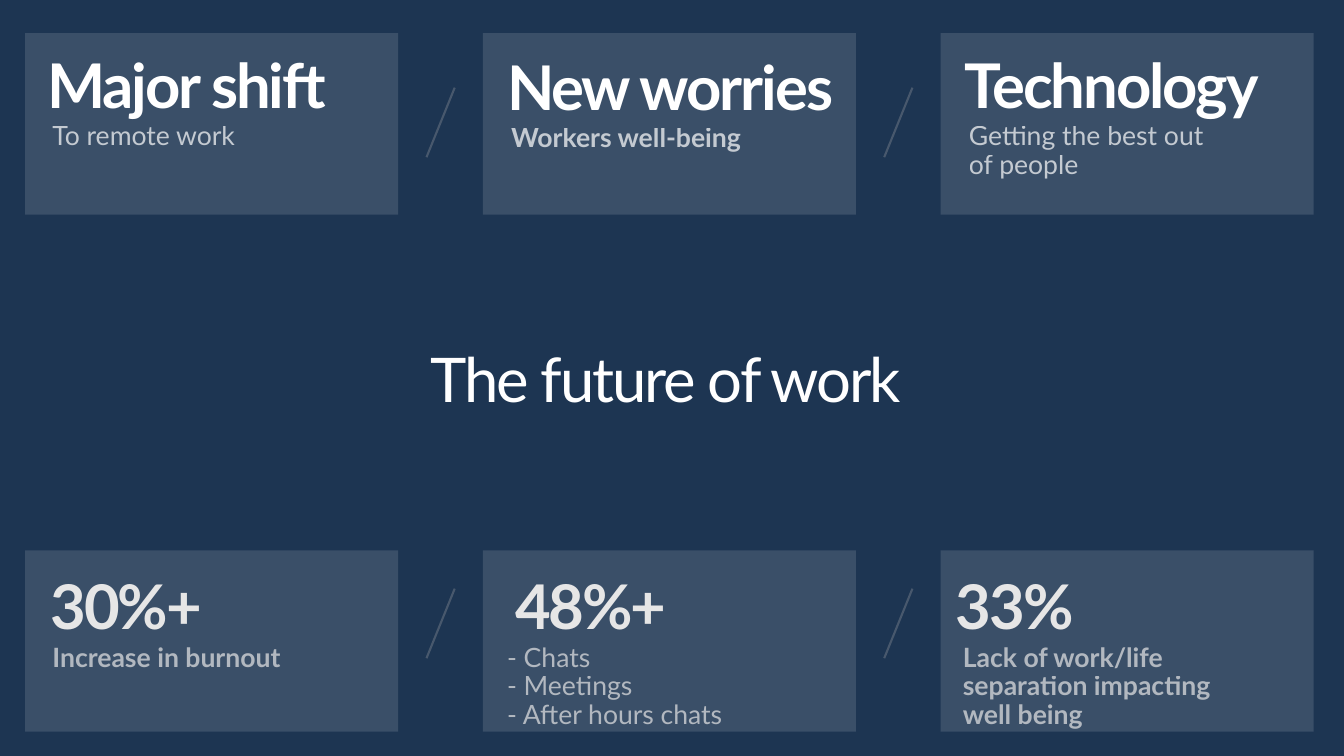
from dataclasses import dataclass

from lxml.etree import SubElement
from pptx import Presentation
from pptx.dml.color import RGBColor
from pptx.enum.shapes import MSO_CONNECTOR as Connector, MSO_SHAPE as Preset
from pptx.enum.text import MSO_ANCHOR as Anchor, MSO_AUTO_SIZE as AutoSize, PP_ALIGN as Align
from pptx.oxml.ns import qn
from pptx.util import Inches, Pt

NAVY = RGBColor(0x1D, 0x35, 0x52)
WHITE = RGBColor(0xFF, 0xFF, 0xFF)
PALE = RGBColor(0xE6, 0xE6, 0xE6)
GREY = RGBColor(0xAC, 0xAC, 0xAC)

COLUMN_START, COLUMN_STEP = 0.25, 4.54
ROW_TOPS = (0.33, 5.46)
ROW_COLORS = (WHITE, PALE)
SLASH_DROPS = (0.54, 0.38)
CARD_WIDTH, CARD_HEIGHT = 3.7, 1.8
HEADING_HEIGHT = 0.67
CAPTION_DROP, CAPTION_INSET, CAPTION_LINE = 0.5, 0.18, 0.29


@dataclass(frozen=True)
class Card:
    column: int
    row: int
    heading: str
    heading_offset: tuple[float, float]
    heading_width: float
    caption: str
    caption_indent: float
    caption_width: float
    caption_lines: int = 1
    bold: bool = False

    @property
    def left(self) -> float:
        return COLUMN_START + self.column * COLUMN_STEP

    @property
    def top(self) -> float:
        return ROW_TOPS[self.row]


CARDS = (
    Card(0, 0, "Major shift", (0.22, 0.21), 3.28, "To remote work", 0.27, 2.3),
    Card(1, 0, "New worries", (0.24, 0.23), 3.4, "Workers well-being", 0.28, 2.94, bold=True),
    Card(2, 0, "Technology", (0.24, 0.21), 3.15, "Getting the best out of people", 0.28, 2.52, 2),
    Card(0, 1, "30%+", (0.25, 0.25), 4.08, "Increase in burnout", 0.27, 2.92, bold=True),
    Card(1, 1, "48%+", (0.32, 0.25), 2.45, "- Chats\n- Meetings\n- After hours chats", 0.24, 3.13, 3),
    Card(2, 1, "33%", (0.15, 0.25), 3.11, "Lack of work/life separation impacting well being",
         0.22, 2.94, 3, bold=True),
)


def set_opacity(fill_parent, percent: int) -> None:
    color = next(fill_parent.iter(qn("a:srgbClr")))
    SubElement(color, qn("a:alpha")).set("val", str(percent * 1000))


def place(shape, left: float, top: float, width: float, height: float) -> None:
    shape.left, shape.top = Inches(left), Inches(top)
    shape.width, shape.height = Inches(width), Inches(height)


def write(shape, text: str, size: int, color: RGBColor, bold: bool,
          spacing: float = 0, opacity: int = 100, inset_top: float = 0,
          anchor: Anchor = Anchor.TOP) -> None:
    frame = shape.text_frame
    frame.text = text
    frame.word_wrap = True
    frame.auto_size = AutoSize.SHAPE_TO_FIT_TEXT
    frame.vertical_anchor = anchor
    frame.margin_left = frame.margin_right = frame.margin_bottom = 0
    frame.margin_top = Inches(inset_top)
    for paragraph in frame.paragraphs:
        paragraph.alignment = Align.LEFT
        paragraph.line_spacing = 0.9
        for run in paragraph.runs:
            run.font.name = "Lato"
            run.font.size = Pt(size)
            run.font.bold = bold
            run.font.color.rgb = color
            properties = run._r.get_or_add_rPr()
            if spacing:
                properties.set("spc", str(int(spacing * 100)))
            if opacity < 100:
                set_opacity(properties, opacity)


def write_heading(shape, text: str, color: RGBColor, bold: bool) -> None:
    write(shape, text, 44, color, bold, spacing=-1.5, anchor=Anchor.BOTTOM)


def add_text_box(slide, left: float, top: float, width: float, height: float):
    return slide.shapes.add_textbox(Inches(left), Inches(top), Inches(width), Inches(height))


def add_card(slide, card: Card) -> None:
    panel = slide.shapes.add_shape(Preset.RECTANGLE, 0, 0, 0, 0)
    place(panel, card.left, card.top, CARD_WIDTH, CARD_HEIGHT)
    panel.shadow.inherit = False
    panel.fill.solid()
    panel.fill.fore_color.rgb = WHITE
    set_opacity(panel._element.spPr, 13)
    panel.line.fill.background()

    color = ROW_COLORS[card.row]
    indent, drop = card.heading_offset
    heading_top = card.top + drop
    heading = add_text_box(slide, card.left + indent, heading_top, card.heading_width, HEADING_HEIGHT)
    write_heading(heading, card.heading, color, True)

    caption = add_text_box(slide, card.left + card.caption_indent, heading_top + CAPTION_DROP,
                           card.caption_width, CAPTION_INSET + card.caption_lines * CAPTION_LINE)
    write(caption, card.caption, 19, color, card.bold, opacity=70, inset_top=CAPTION_INSET)


def add_slash(slide, column: int, row: int) -> None:
    left = COLUMN_START + column * COLUMN_STEP + 3.98
    top = ROW_TOPS[row] + SLASH_DROPS[row]
    slash = slide.shapes.add_connector(
        Connector.STRAIGHT, Inches(left + 0.28), Inches(top), Inches(left), Inches(top + 0.69))
    slash.line.color.rgb = GREY
    slash.line.width = Pt(1.5)
    properties = slash._element.spPr
    set_opacity(properties, 29)
    SubElement(properties, qn("a:effectLst"))


def main() -> None:
    presentation = Presentation()
    presentation.slide_width, presentation.slide_height = Inches(13.33), Inches(7.5)
    slide = presentation.slides.add_slide(presentation.slide_layouts[5])
    slide.background.fill.solid()
    slide.background.fill.fore_color.rgb = NAVY

    title = slide.shapes.title
    place(title, 4.27, 3.46, 4.78, HEADING_HEIGHT)
    write_heading(title, "The future of work", WHITE, False)

    for card in CARDS:
        add_card(slide, card)
    for row in range(len(ROW_TOPS)):
        for column in range(2):
            add_slash(slide, column, row)

    presentation.save("out.pptx")


if __name__ == "__main__":
    main()
